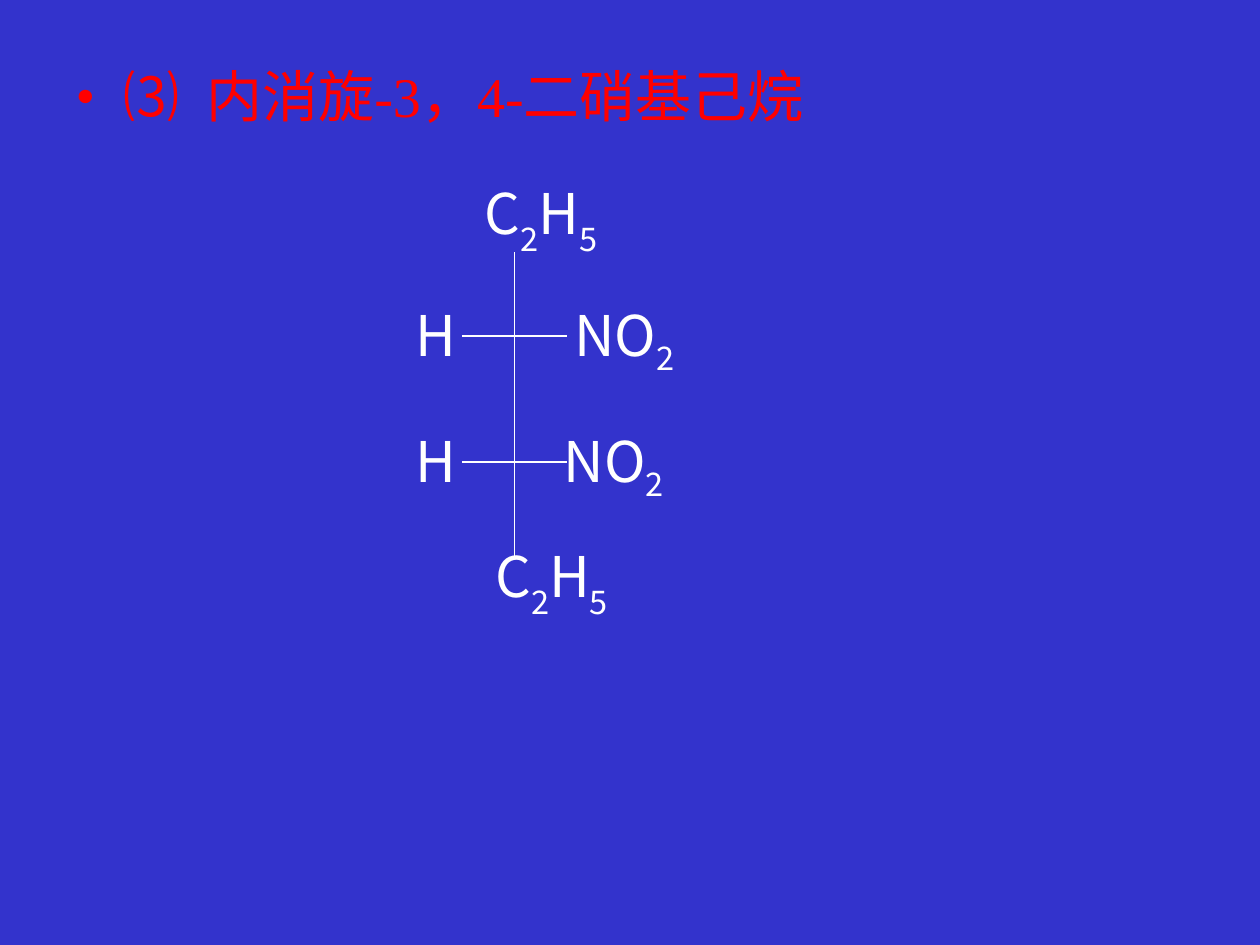
"""Build a slide with the Fischer projection of meso-3,4-dinitrohexane."""
import pptx
import pptx.util
import pptx.dml.color
import pptx.enum.shapes
import pptx.enum.text
import pptx.oxml.ns
import lxml.etree

COLORS = {"back": "3333CC", "head": "FF0000", "bond": "FFFFFF"}
SANS, SERIF = "Noto Sans CJK SC", "Times New Roman"
CELL = pptx.util.Inches(1) / 12
ETHYL = [("C", 0), ("2", -30), ("H", 0), ("5", -30)]
NITRO = [("NO", 0), ("2", -25)]
HYDRO = [("H", 0)]


def grid(*cells):
    return [round(cell * CELL) for cell in cells]


def color(name):
    return pptx.dml.color.RGBColor.from_string(COLORS[name])


def child(node, tag, **attrs):
    return lxml.etree.SubElement(node, pptx.oxml.ns.qn(tag), attrs)


def add_run(para, text, face, tint, **attrs):
    run = para.add_run()
    run.text = text
    run.font.size = pptx.util.Pt(32)
    run.font.color.rgb = color(tint)
    run.font.name = face
    props = run.font._element
    child(props, "a:ea", typeface=SANS)
    for key, value in attrs.items():
        props.set(key, str(value))


def add_head(slide):
    body = slide.placeholders[1]
    body.left, body.top, body.width, body.height = grid(6, 6, 102, 7)
    frame = body.text_frame
    frame.auto_size = pptx.enum.text.MSO_AUTO_SIZE.NONE
    para = frame.paragraphs[0]
    para.line_spacing = 0.9
    para.space_before = pptx.util.Pt(0)
    props = para._p.get_or_add_pPr()
    dent = pptx.util.Inches(0.38)
    props.set("marL", str(dent))
    props.set("indent", str(-dent))
    child(child(props, "a:buClr"), "a:srgbClr", val=COLORS["head"])
    child(props, "a:buFont", typeface=SERIF)
    child(props, "a:buChar", char="•")
    add_run(para, "⑶", SERIF, "head")
    add_run(para, " ", SERIF, "head", spc=800)
    parts = [("内消旋", SANS), ("-3", SERIF), ("，", SANS),
             ("4-", SERIF), ("二硝基己烷", SANS)]
    for text, face in parts:
        add_run(para, text, face, "head")


def add_bond(slide, *ends):
    line = slide.shapes.add_connector(
        pptx.enum.shapes.MSO_CONNECTOR.STRAIGHT, *grid(*ends))
    line.line.color.rgb = color("bond")
    line.line.width = pptx.util.Pt(0.75)
    child(line._element.spPr, "a:effectLst")


def add_group(slide, parts, *place):
    frame = slide.shapes.add_textbox(*grid(*place)).text_frame
    frame.word_wrap = False
    frame.auto_size = pptx.enum.text.MSO_AUTO_SIZE.SHAPE_TO_FIT_TEXT
    for text, shift in parts:
        attrs = {"baseline": shift * 1000} if shift else {}
        add_run(frame.paragraphs[0], text, SANS, "bond", **attrs)


def main():
    deck = pptx.Presentation()
    deck.slide_width, deck.slide_height = grid(120, 90)
    slide = deck.slides.add_slide(deck.slide_layouts[1])
    slide.background.fill.solid()
    slide.background.fill.fore_color.rgb = color("back")
    title = slide.shapes.title._element
    title.getparent().remove(title)
    add_head(slide)
    add_bond(slide, 49, 24, 49, 53)
    for row, left in ((32, 53.5), (44, 52.5)):
        add_bond(slide, 44, row, 54, row)
        add_group(slide, HYDRO, 38.4, row - 4, 6.4, 7.7)
        add_group(slide, NITRO, left, row - 4, 12.4, 8.5)
    for left, top in ((45, 16.4), (46, 51)):
        add_group(slide, ETHYL, left, top, 13.2, 8.8)
    deck.save("out.pptx")


if __name__ == "__main__":
    main()
